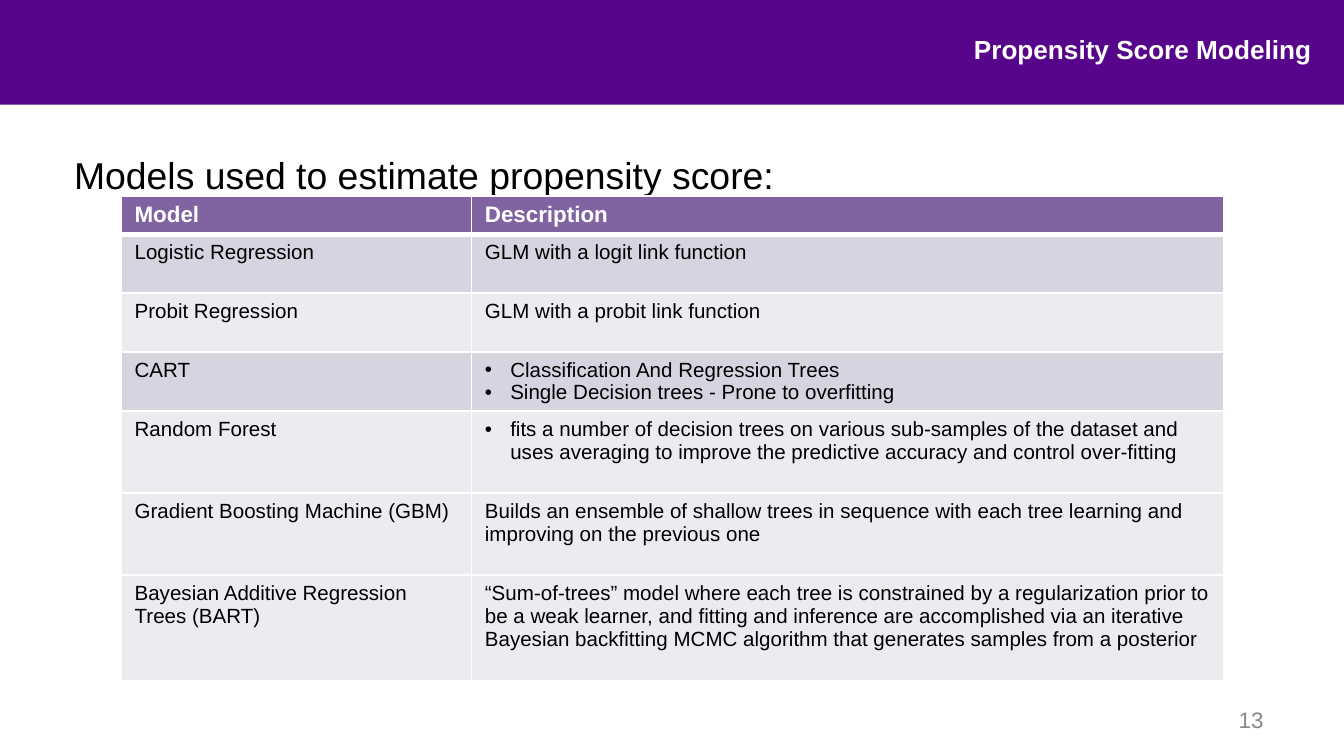
"""Build the slide on propensity score models."""
from lxml import etree
from pptx import Presentation
from pptx.dml.color import RGBColor
from pptx.enum.shapes import MSO_SHAPE
from pptx.enum.text import MSO_ANCHOR, MSO_AUTO_SIZE, PP_ALIGN
from pptx.oxml.ns import qn
from pptx.util import Cm, Pt

RECT = MSO_SHAPE.RECTANGLE
TOP, MIDDLE = MSO_ANCHOR.TOP, MSO_ANCHOR.MIDDLE
LEFT, RIGHT = PP_ALIGN.LEFT, PP_ALIGN.RIGHT
FIXED = MSO_AUTO_SIZE.NONE

WHITE = RGBColor(0xFF, 0xFF, 0xFF)
BLACK = RGBColor(0x00, 0x00, 0x00)
GREY = RGBColor(0x89, 0x89, 0x89)
PURPLE = RGBColor(0x57, 0x06, 0x8C)
VIOLET = RGBColor(0x80, 0x64, 0xA2)
LILAC = RGBColor(0xD8, 0xD3, 0xE0)
PALE = RGBColor(0xED, 0xEA, 0xF0)

ROWS = [
    (0.73, VIOLET, "Model", ["Description"], False),
    (1.11, LILAC, "Logistic Regression", ["GLM with a logit link function"], False),
    (1.11, PALE, "Probit Regression", ["GLM with a probit link function"], False),
    (1.11, LILAC, "CART", ["Classification And Regression Trees",
                           "Single Decision trees - Prone to overfitting"], True),
    (1.55, PALE, "Random Forest",
     ["fits a number of decision trees on various sub-samples of the dataset and "
      "uses averaging to improve the predictive accuracy and control over-fitting"], True),
    (1.55, PALE, "Gradient Boosting Machine (GBM)",
     ["Builds an ensemble of shallow trees in sequence with each tree learning and "
      "improving on the previous one"], False),
    (1.99, PALE, "Bayesian Additive Regression Trees (BART)",
     ["“Sum-of-trees” model where each tree is constrained by a regularization prior to "
      "be a weak learner, and fitting and inference are accomplished via an iterative "
      "Bayesian backfitting MCMC algorithm that generates samples from a posterior"], False),
]


def write(frame, lines, size, color, bold=False, align=LEFT):
    frame.text = "\n".join(lines)
    style = {"name": "Arial", "size": Pt(size), "bold": bold}
    for para in frame.paragraphs:
        para.alignment = align
        for run in para.runs:
            for key, value in style.items():
                setattr(run.font, key, value)
            run.font.color.rgb = color


def border(cell, side, width):
    line = etree.SubElement(cell._tc.get_or_add_tcPr(), qn(f"a:ln{side}"), w=str(Pt(width)))
    fill = etree.SubElement(line, qn("a:solidFill"))
    etree.SubElement(fill, qn("a:srgbClr"), val=str(WHITE))


deck = Presentation()
deck.slide_width, deck.slide_height = Cm(25.4), Cm(14.29)
slide = deck.slides.add_slide(deck.slide_layouts[5])
shapes = slide.shapes

band = shapes.add_shape(RECT, 0, 0, Cm(25.4), Cm(1.98))
band.shadow.inherit = False
band.fill.solid()
band.fill.fore_color.rgb = PURPLE
band.line.fill.background()

title = shapes.title
band.element.addnext(title.element)
lead = shapes.add_textbox(0, 0, 0, 0)
page = shapes.add_textbox(0, 0, 0, 0)

TEXTS = [
    (title, (17.17, 0.64, 7.62, 0.74), "Propensity Score Modeling", 14, WHITE, True, RIGHT, TOP, 0),
    (lead, (1.4, 2.46, 23.09, 11.33), "Models used to estimate propensity score:",
     20, BLACK, False, LEFT, TOP, 0),
    (page, (18.21, 13.23, 5.92, 0.76), "13", 12, GREY, False, RIGHT, MIDDLE, 0.25),
]
for box, place, text, size, color, bold, align, anchor, inset in TEXTS:
    for key, value in zip(("left", "top", "width", "height"), place):
        setattr(box, key, Cm(value))
    form = {
        "word_wrap": True, "auto_size": FIXED, "vertical_anchor": anchor,
        "margin_left": Cm(inset), "margin_right": Cm(inset),
        "margin_top": Cm(inset / 2), "margin_bottom": Cm(inset / 2),
    }
    for key, value in form.items():
        setattr(box.text_frame, key, value)
    write(box.text_frame, [text], size, color, bold, align)
lead.text_frame.paragraphs[0].line_spacing = 1.5

high = sum(row[0] for row in ROWS)
table = shapes.add_table(len(ROWS), 2, Cm(2.29), Cm(3.7), Cm(20.84), Cm(high)).table
for col, width in zip(table.columns, (6.62, 14.22)):
    col.width = Cm(width)

for r, (height, shade, model, notes, listed) in enumerate(ROWS):
    table.rows[r].height = Cm(height)
    head = r == 0
    for c, lines in enumerate(([model], notes)):
        cell = table.cell(r, c)
        write(cell.text_frame, lines, 12 if head else 11, WHITE if head else BLACK, head)
        for side, width in zip("LRTB", (1, 1, 3 if r == 1 else 1, 3 if head else 1)):
            border(cell, side, width)
        cell.fill.solid()
        cell.fill.fore_color.rgb = shade
    if listed:
        for para in table.cell(r, 1).text_frame.paragraphs:
            props = para._p.get_or_add_pPr()
            props.set("marL", str(Cm(0.48)))
            props.set("indent", str(-Cm(0.48)))
            etree.SubElement(props, qn("a:buFont"), typeface="Arial")
            etree.SubElement(props, qn("a:buChar"), char="•")

deck.save("out.pptx")
